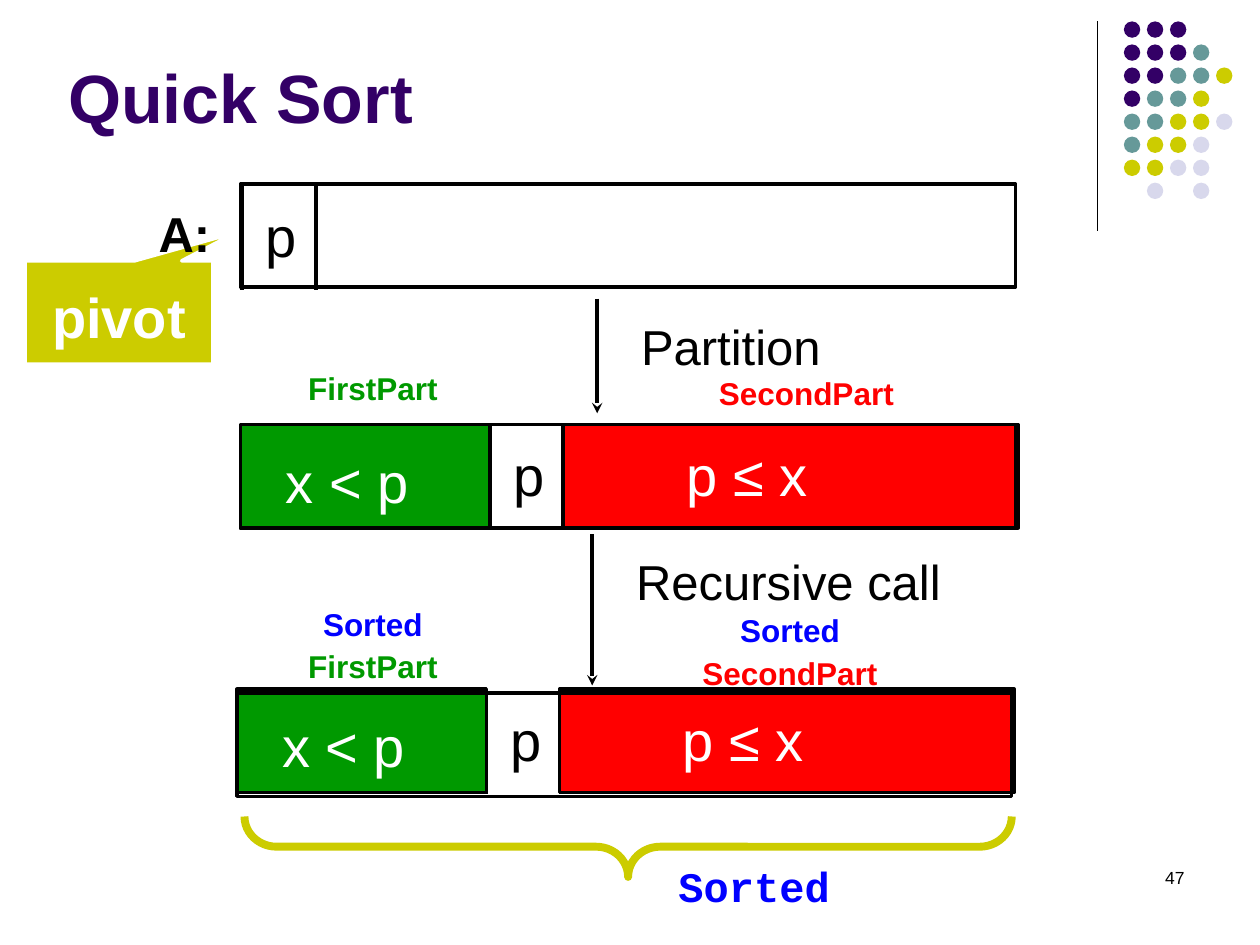
from collections import namedtuple
from dataclasses import dataclass

from lxml.etree import SubElement
from pptx import Presentation
from pptx.dml.color import RGBColor
from pptx.enum.shapes import MSO_CONNECTOR, MSO_SHAPE
from pptx.enum.text import MSO_ANCHOR, MSO_AUTO_SIZE, PP_ALIGN
from pptx.oxml.ns import qn
from pptx.util import Inches, Pt


@dataclass(frozen=True)
class Theme:
    font: str = "Arial"
    mono: str = "Courier New"
    black: str = "000000"
    white: str = "FFFFFF"
    purple: str = "330066"
    teal: str = "669999"
    olive: str = "CCCC00"
    lilac: str = "D8D8EC"
    green: str = "009900"
    red: str = "FF0000"
    blue: str = "0000FF"
    title: float = 39
    formula: float = 32
    step: float = 28
    result: float = 24
    label: float = 18
    number: float = 10
    rule: float = 2


THEME = Theme()
Box = namedtuple("Box", "left top width height")
CENTER = PP_ALIGN.CENTER


def lengths(box):
    return [Inches(value) for value in box]


def write(frame, lines, size, color=THEME.black, font=THEME.font, bold=False,
          align=PP_ALIGN.LEFT, anchor=MSO_ANCHOR.TOP, before=0, spacing=None,
          bottom=0.05, wrap=True, fit=MSO_AUTO_SIZE.NONE):
    """Write one paragraph per line; a line is text or a (text, color) pair."""
    frame.auto_size = fit
    frame.word_wrap = wrap
    frame.vertical_anchor = anchor
    frame.margin_left = frame.margin_right = Inches(0.1)
    frame.margin_top, frame.margin_bottom = Inches(0.05), Inches(bottom)
    lines = [lines] if isinstance(lines, str) else lines
    for index, line in enumerate(lines):
        text, line_color = (line, color) if isinstance(line, str) else line
        paragraph = frame.add_paragraph() if index else frame.paragraphs[0]
        paragraph.alignment = align
        paragraph.space_before = Pt(before)
        paragraph.line_spacing = spacing
        run = paragraph.add_run()
        run.text = text
        run.font.name, run.font.size, run.font.bold = font, Pt(size), bold
        run.font.color.rgb = RGBColor.from_string(line_color)


def add_text(slide, box, lines, size, **style):
    style.setdefault("fit", MSO_AUTO_SIZE.SHAPE_TO_FIT_TEXT)
    write(slide.shapes.add_textbox(*lengths(box)).text_frame, lines, size, **style)


def add_figure(slide, preset, box, fill=None, line=None, width=THEME.rule):
    figure = slide.shapes.add_shape(preset, *lengths(box))
    figure.shadow.inherit = False
    if fill:
        figure.fill.solid()
        figure.fill.fore_color.rgb = RGBColor.from_string(fill)
    else:
        figure.fill.background()
    if line:
        figure.line.color.rgb = RGBColor.from_string(line)
        figure.line.width = Pt(width)
    else:
        figure.line.fill.background()
    return figure


def add_vertical(slide, x, top, bottom, width=THEME.rule, arrow=False):
    rule = slide.shapes.add_connector(
        MSO_CONNECTOR.STRAIGHT, *lengths((x, top, x, bottom)))
    rule.line.color.rgb = RGBColor.from_string(THEME.black)
    rule.line.width = Pt(width)
    if arrow:
        SubElement(rule.line._get_or_add_ln(), qn("a:tailEnd"), type="stealth")
    SubElement(rule._element.spPr, qn("a:effectLst"))


def add_dot_grid(slide, box):
    colors = {"P": THEME.purple, "T": THEME.teal, "Y": THEME.olive, "L": THEME.lilac}
    rows = ["PPP", "PPPT", "PPTTY", "PTTY", "TTYYL", "TYYL", "YYLL", " L L"]
    dot = 0.13
    pitch = (box.height - dot) / (len(rows) - 1)
    for row, codes in enumerate(rows):
        for column, code in enumerate(codes):
            if code in colors:
                place = Box(box.left + column * pitch, box.top + row * pitch, dot, dot)
                add_figure(slide, MSO_SHAPE.OVAL, place, colors[code])


def add_pivot_cell(slide, box):
    for x in (box.left, box.left + box.width):
        add_vertical(slide, x, box.top, box.top + box.height)
    add_text(slide, Box(box.left + 0.09, box.top + 0.08, 0.42, 0.58), "p",
             THEME.formula, before=20, bottom=0)


def add_partitioned_bar(slide, box, outline_drop=0):
    """Draw the smaller part, the pivot and the larger part of the array."""
    left, top, width, height = box
    formula = dict(color=THEME.white, before=20, bottom=0)
    add_figure(slide, MSO_SHAPE.RECTANGLE, Box(left, top, 1.98, height),
               THEME.green, THEME.black)
    add_text(slide, Box(left + 0.26, top + 0.13, 1.38, 0.58), "x < p",
             THEME.formula, **formula)
    add_pivot_cell(slide, Box(left + 1.98, top, 0.59, height + 0.01))
    add_figure(slide, MSO_SHAPE.RECTANGLE, Box(left + 2.56, top, 3.61, height),
               THEME.red, THEME.black)
    add_text(slide, Box(left + 3.44, top + 0.08, 1.75, 0.58), "p ≤ x",
             THEME.formula, **formula)
    add_figure(slide, MSO_SHAPE.RECTANGLE, Box(left, top + outline_drop, width, height),
               line=THEME.black)


def add_step(slide, box, caption):
    """Draw an arrow down the left edge of the box and its caption beside it."""
    add_vertical(slide, box.left, box.top, box.top + box.height, arrow=True)
    add_text(slide, Box(box.left + 0.25, box.top + 0.09, box.width, 0.52), caption,
             THEME.step, before=17.5, bottom=0)


def add_label(slide, box, lines, **style):
    add_text(slide, box, lines, THEME.label, bold=True, align=CENTER, **style)


def add_input_array(slide, box):
    add_figure(slide, MSO_SHAPE.RECTANGLE, box, line=THEME.black)
    add_pivot_cell(slide, Box(box.left + 0.01, box.top + 0.01, 0.59, box.height + 0.01))
    pivot = add_figure(slide, MSO_SHAPE.RECTANGULAR_CALLOUT,
                       Box(box.left - 1.71, box.top + 0.61, 1.49, 0.82),
                       THEME.olive, THEME.white)
    pivot.adjustments[0], pivot.adjustments[1] = 0.626, -0.776
    write(pivot.text_frame, "pivot", THEME.formula, color=THEME.white, bold=True,
          align=CENTER, anchor=MSO_ANCHOR.MIDDLE, bottom=0, wrap=False)
    add_text(slide, Box(box.left - 0.75, box.top + 0.11, 0.72, 0.57), "A:",
             THEME.step, bold=True, before=17.5)


def add_sorted_brace(slide, box):
    # The brace is upright before its quarter turn, so its sides are swapped.
    upright = Box(box.left + (box.width - box.height) / 2,
                  box.top + (box.height - box.width) / 2, box.height, box.width)
    brace = add_figure(slide, MSO_SHAPE.RIGHT_BRACE, upright, line=THEME.olive, width=4.5)
    brace.adjustments[0], brace.adjustments[1] = 0.53, 0.5
    brace.rotation = 90
    add_text(slide, Box(box.left + 2.71, box.top + 0.3, 2.67, 0.5), "Sorted",
             THEME.result, color=THEME.blue, font=THEME.mono, bold=True,
             align=CENTER, before=15)


def add_title(slide, box, text):
    title = slide.shapes.title
    title.left, title.top, title.width, title.height = lengths(box)
    write(title.text_frame, text, THEME.title, color=THEME.purple, bold=True,
          anchor=MSO_ANCHOR.MIDDLE)


def build_quick_sort(slide):
    add_vertical(slide, 8.71, 0.17, 1.83, width=0.75)
    add_dot_grid(slide, Box(8.92, 0.17, 0.86, 1.41))
    add_text(slide, Box(7.17, 6.83, 2.33, 0.5), "47", THEME.number,
             align=PP_ALIGN.RIGHT, fit=MSO_AUTO_SIZE.NONE)
    add_title(slide, Box(0.44, 0.35, 8.25, 0.83), "Quick Sort")

    add_partitioned_bar(slide, Box(1.91, 3.37, 6.15, 0.82))
    add_step(slide, Box(4.74, 2.37, 3.67, 0.91), "Partition")
    add_label(slide, Box(1.93, 2.88, 2.06, 0.4), "FirstPart",
              color=THEME.green, before=11.2)
    add_label(slide, Box(4.81, 2.92, 3.18, 0.4), "SecondPart",
              color=THEME.red, before=11.2)
    add_input_array(slide, Box(1.91, 1.46, 6.15, 0.82))

    add_step(slide, Box(4.7, 4.24, 3.62, 1.2), "Recursive call")
    add_partitioned_bar(slide, Box(1.88, 5.47, 6.15, 0.82), outline_drop=0.03)
    add_label(slide, Box(1.93, 4.88, 2.06, 0.59),
              [("Sorted", THEME.blue), ("FirstPart", THEME.green)],
              before=13.5, spacing=0.5)
    add_label(slide, Box(5.2, 4.91, 2.14, 0.62),
              [("Sorted", THEME.blue), ("SecondPart", THEME.red)],
              before=11.2, spacing=0.6)
    add_sorted_brace(slide, Box(1.94, 6.48, 6.09, 0.48))


def main():
    deck = Presentation()
    deck.slide_width, deck.slide_height = Inches(10), Inches(7.5)
    build_quick_sort(deck.slides.add_slide(deck.slide_layouts[5]))
    deck.save("out.pptx")


if __name__ == "__main__":
    main()
